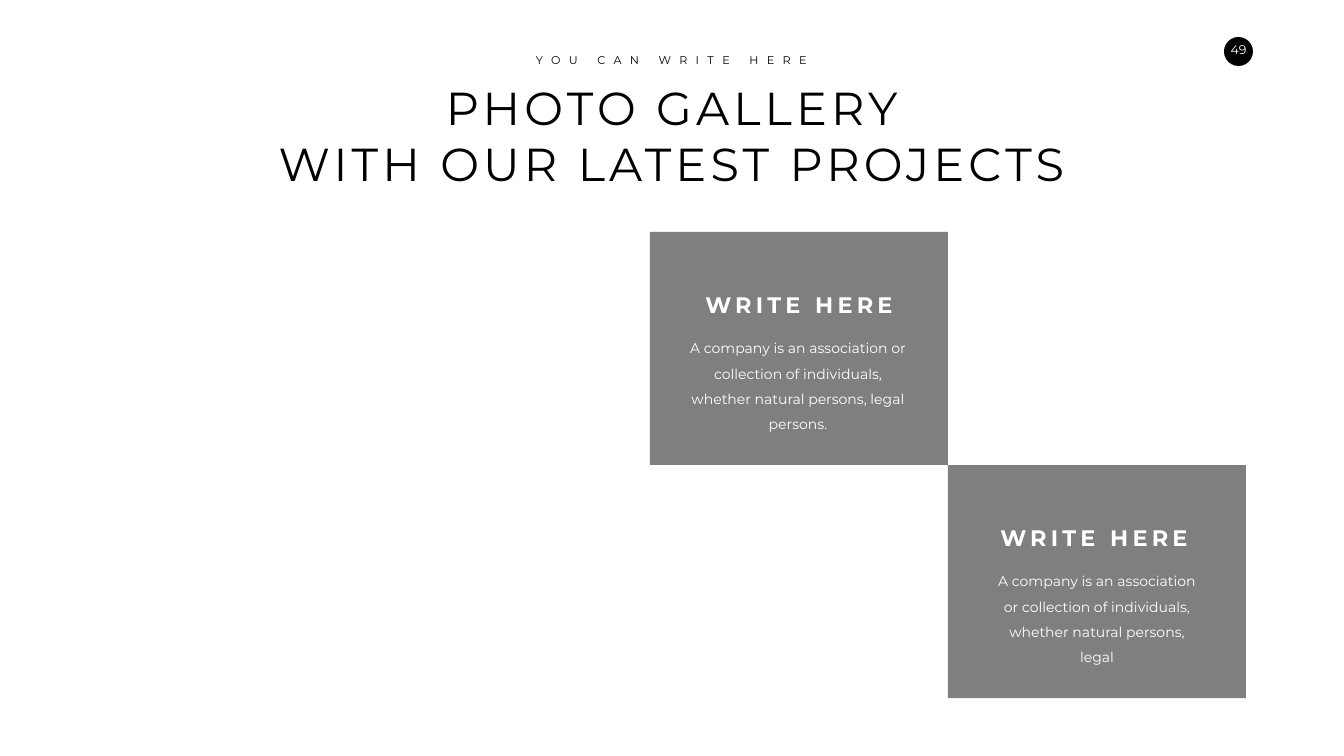
from pptx import Presentation
from pptx.dml.color import RGBColor
from pptx.enum.shapes import MSO_SHAPE
from pptx.enum.text import MSO_AUTO_SIZE, PP_ALIGN
from pptx.util import Emu, Pt

RECT = MSO_SHAPE.RECTANGLE
OVAL = MSO_SHAPE.OVAL
CENTER = PP_ALIGN.CENTER
GROW = MSO_AUTO_SIZE.SHAPE_TO_FIT_TEXT

BLACK = RGBColor(0, 0, 0)
WHITE = RGBColor(255, 255, 255)
GRAY = RGBColor(127, 127, 127)
FONT = "Montserrat"
SCALE = 18143
CARD_W, CARD_H = 298, 233
BODY = "A company is an association or collection of individuals, whether natural persons, legal"


def px(n):
    return Emu(n * SCALE)


def add_block(slide, kind, box, color):
    shape = slide.shapes.add_shape(kind, *map(px, box))
    shape.shadow.inherit = False
    shape.fill.solid()
    shape.fill.fore_color.rgb = color
    shape.line.fill.background()
    return shape


def add_text(slide, box, lines, size, color, bold=False, gap=0, wrap=False, lead=None):
    frame = slide.shapes.add_textbox(*map(px, box)).text_frame
    frame.word_wrap = wrap
    frame.auto_size = GROW
    for i, line in enumerate(lines):
        para = frame.add_paragraph() if i else frame.paragraphs[0]
        para.alignment = CENTER
        if lead:
            para.line_spacing = lead
        run = para.add_run()
        run.text = line
        font = run.font
        font.name = FONT
        font.size = Pt(size)
        font.bold = bold
        font.color.rgb = color
        if gap:
            run._r.get_or_add_rPr().set("spc", str(gap * 100))
    return frame


def add_badge(slide):
    add_block(slide, OVAL, (1224, 37, 29, 29), BLACK).rotation = 270
    frame = add_text(slide, (1217, 37, 43, 25), ["49"], 18, WHITE)
    frame.margin_left = frame.margin_right = px(10)
    frame.margin_top = frame.margin_bottom = px(5)


def add_card(slide, left, top, head, inset, width, body):
    add_block(slide, RECT, (left, top, CARD_W, CARD_H), GRAY)
    add_text(slide, (left + inset, top + 97, width, 82), [body], 20, WHITE,
             wrap=True, lead=1.5)
    add_text(slide, (left + head, top + 57, 200, 32), ["WRITE HERE"], 32, WHITE,
             bold=True, gap=6)


def main():
    deck = Presentation()
    deck.slide_width, deck.slide_height = px(1344), px(756)
    slide = deck.slides.add_slide(deck.slide_layouts[6])
    add_badge(slide)
    add_text(slide, (272, 77, 800, 117),
             ["PHOTO GALLERY", "WITH OUR LATEST PROJECTS"], 66, BLACK, gap=6)
    add_text(slide, (526, 51, 291, 19), ["YOU CAN WRITE HERE"], 16, BLACK, gap=12)
    left, top = 650, 232
    add_card(slide, left, top, 49, 28, 240, BODY + " persons.")
    add_card(slide, left + CARD_W, top + CARD_H, 46, 40, 218, BODY)
    deck.save("out.pptx")


if __name__ == "__main__":
    main()
